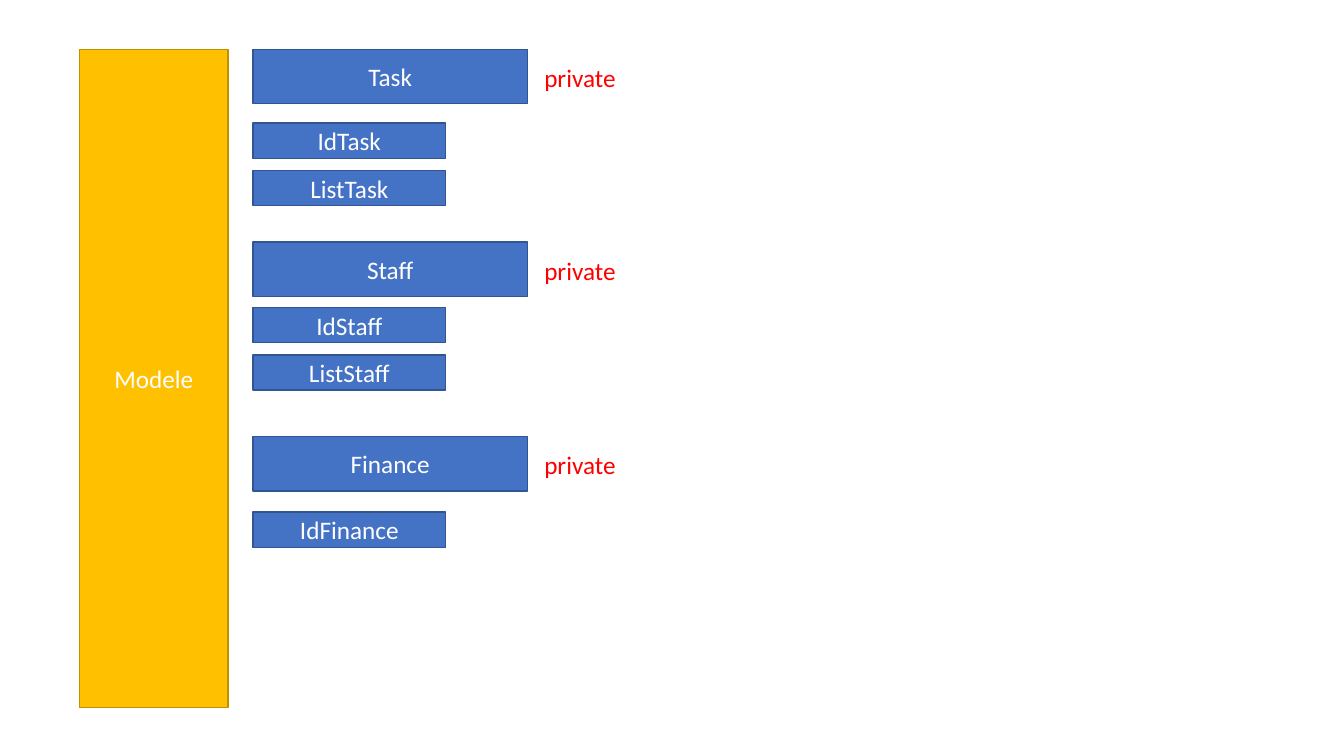
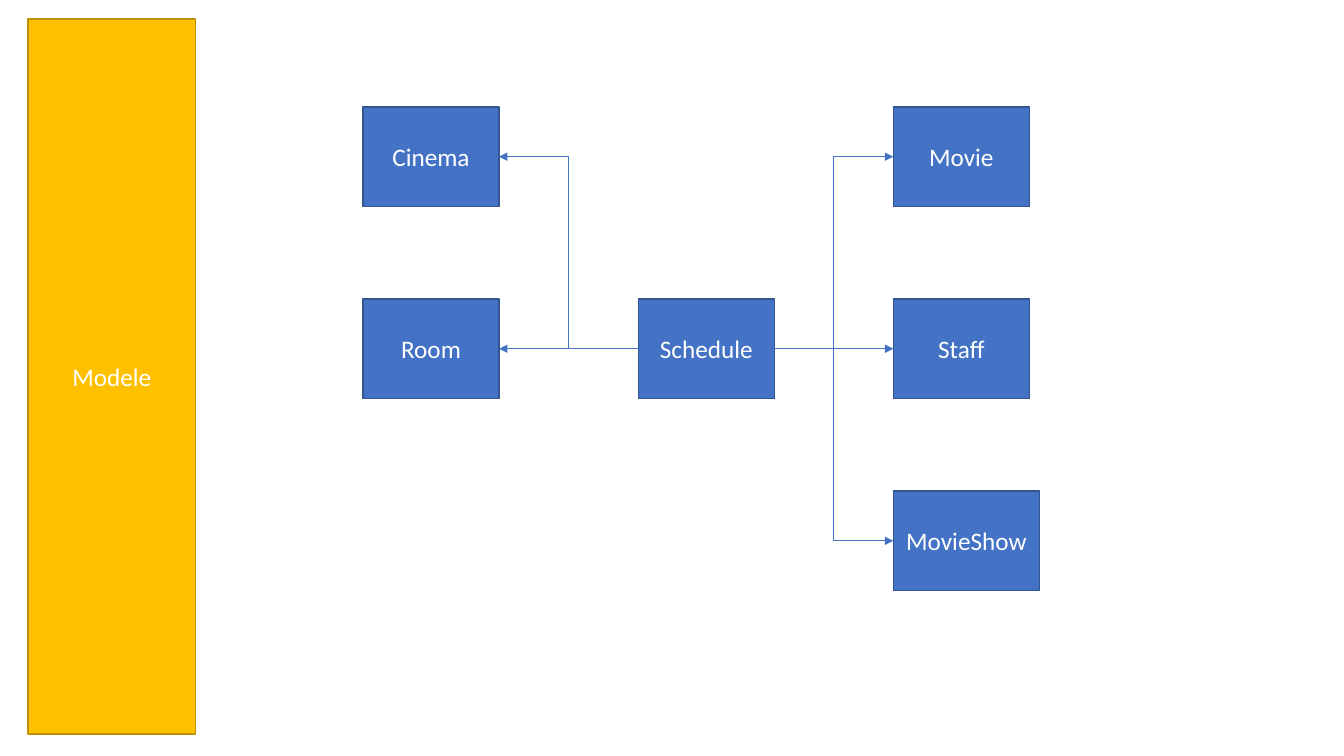
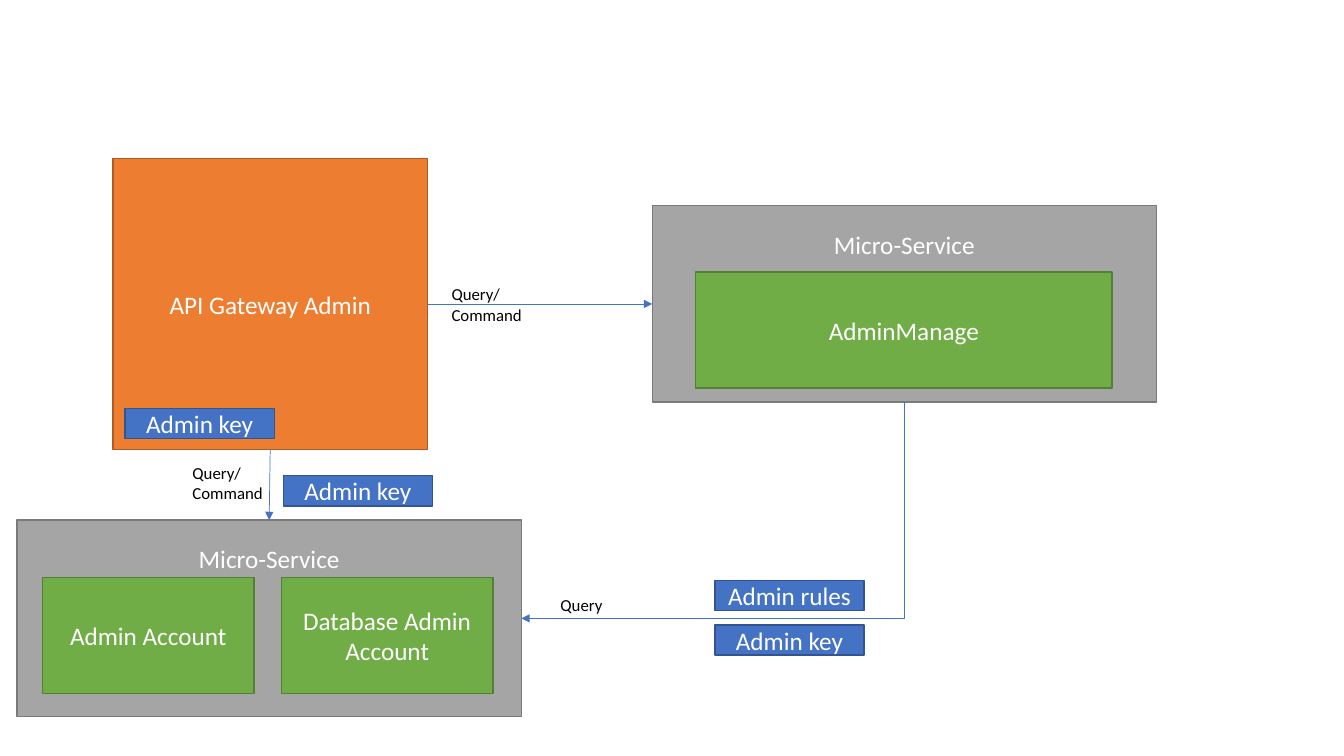
"""Build three diagrams: the model's fields, the schedule's links and the admin services."""
from lxml.etree import SubElement
from pptx import Presentation
from pptx.dml.color import RGBColor
from pptx.enum.shapes import MSO_CONNECTOR, MSO_SHAPE
from pptx.enum.text import MSO_ANCHOR, MSO_AUTO_SIZE, PP_ALIGN
from pptx.oxml.ns import qn
from pptx.util import Inches, Pt

WIDTH, HEIGHT = 13.33, 7.5
COLOURS = {
    "gold": "FFC000", "gold edge": "BF9000",
    "blue": "4472C4", "blue edge": "325491",
    "orange": "ED7D31", "orange edge": "AF5C24",
    "grey": "A5A5A5", "grey edge": "7A7A7A",
    "green": "70AD47", "green edge": "538035",
    "white": "FFFFFF", "red": "FF0000", "black": "000000",
}
FONT = "Calibri"
BOX_FRAME = {"word_wrap": True, "vertical_anchor": MSO_ANCHOR.MIDDLE}
HEADED_FRAME = {"vertical_anchor": MSO_ANCHOR.TOP, "margin_top": Inches(0.23)}
LABEL_FRAME = {"word_wrap": True, "auto_size": MSO_AUTO_SIZE.SHAPE_TO_FIT_TEXT}
TOP, LEFT, BOTTOM, RIGHT = range(4)

ENTITIES = [
    ("Task", 0.49, 1.22, ["IdTask", "ListTask"]),
    ("Staff", 2.4, 3.05, ["IdStaff", "ListStaff"]),
    ("Finance", 4.33, 5.08, ["IdFinance"]),
]
ENTITY_LEFT, ENTITY_SIZE = 2.51, (2.72, 0.54)
FIELD_SIZE, FIELD_PITCH = (1.91, 0.35), 0.47

CLASS_COLUMNS = [3.6, 6.33, 8.86]
CLASS_TOP, CLASS_PITCH, CLASS_SIZE = 1.06, 1.905, (1.35, 0.99)
CLASSES = {
    "Schedule": (1, 1), "Room": (0, 1), "Cinema": (0, 0),
    "Movie": (2, 0), "MovieShow": (2, 2), "Staff": (2, 1),
}
WIDE_CLASSES = {"MovieShow": 0.1}

SERVICE_SIZE, MODULE_HEIGHT, TAG_SIZE = (5, 1.95), 1.15, (1.48, 0.3)
SERVICES = [
    (6.47, 2.04, [("AdminManage", 0.43, 0.66, 4.13)]),
    (0.17, 5.16, [("Admin Account", 0.25, 0.57, 2.1),
                  ("Database Admin Account", 2.62, 0.57, 2.1)]),
]
TAGS = [
    ("Admin key", 1.24, 4.05), ("Admin key", 2.81, 4.72),
    ("Admin key", 7.09, 6.2), ("Admin rules", 7.09, 5.76),
]
CALLS = [
    ("Query/\nCommand", 4.38, 2.77, 0.5),
    ("Query/\nCommand", 1.81, 4.54, 0.5),
    ("Query", 5.46, 5.85, 0.3),
]


def colour(name):
    """Return the named colour."""
    return RGBColor.from_string(COLOURS[name])


def apply(target, values):
    """Set each attribute of target from values."""
    for key, value in values.items():
        setattr(target, key, value)


def write(frame, text, ink, size, layout, align):
    """Fill a text frame, one paragraph a line."""
    apply(frame, layout)
    frame.text = text
    for paragraph in frame.paragraphs:
        paragraph.alignment = align
        apply(paragraph.font, {"name": FONT, "size": Pt(size)})
        paragraph.font.color.rgb = colour(ink)


def add_box(slide, text, left, top, size, tone="blue", layout=None):
    """Add an outlined rectangle with centred white text."""
    box = slide.shapes.add_shape(MSO_SHAPE.RECTANGLE, *map(Inches, (left, top, *size)))
    box.shadow.inherit = False
    box.fill.solid()
    box.fill.fore_color.rgb = colour(tone)
    box.line.color.rgb = colour(tone + " edge")
    box.line.width = Pt(1)
    write(box.text_frame, text, "white", 18, BOX_FRAME | (layout or {}), PP_ALIGN.CENTER)
    return box


def add_label(slide, text, left, top, size, ink, points):
    """Add a plain left-aligned text."""
    label = slide.shapes.add_textbox(*map(Inches, (left, top, *size)))
    write(label.text_frame, text, ink, points, LABEL_FRAME, PP_ALIGN.LEFT)


def style_arrow(arrow):
    """Give a connector its thin blue line, arrowhead and no shadow."""
    arrow.line.color.rgb = colour("blue")
    arrow.line.width = Pt(0.5)
    SubElement(arrow.line._get_or_add_ln(), qn("a:tailEnd"), type="triangle")
    SubElement(arrow._element.spPr, qn("a:effectLst"))


def add_arrow(slide, source, source_side, target, target_side, kind=MSO_CONNECTOR.STRAIGHT):
    """Link two boxes side to side."""
    arrow = slide.shapes.add_connector(kind, 0, 0, 0, 0)
    arrow.begin_connect(source, source_side)
    arrow.end_connect(target, target_side)
    style_arrow(arrow)


def add_corner_arrow(slide, source, target):
    """Run down from source, then left to the right side of target."""
    start_x, start_y = source.left + source.width // 2, source.top + source.height
    end_x, end_y = target.left + target.width, target.top + target.height // 2
    across, down = start_x - end_x, end_y - start_y
    left = (start_x + end_x - down) // 2
    top = (start_y + end_y - across) // 2
    arrow = slide.shapes.add_connector(
        MSO_CONNECTOR.ELBOW, left, top, left + down, top + across)
    properties = arrow._element.spPr
    properties.find(qn("a:xfrm")).set("rot", str(90 * 60000))
    properties.find(qn("a:prstGeom")).set("prst", "bentConnector2")
    style_arrow(arrow)


def build_fields(slide):
    """Draw the model's entities with their fields."""
    add_box(slide, "Modele", 0.79, 0.49, (1.47, 6.53), "gold")
    for entity, top, fields_top, fields in ENTITIES:
        add_box(slide, entity, ENTITY_LEFT, top, ENTITY_SIZE)
        add_label(slide, "private", 5.3, top + 0.08, (3.07, 0.4), "red", 18)
        for row, field in enumerate(fields):
            add_box(slide, field, ENTITY_LEFT, fields_top + row * FIELD_PITCH, FIELD_SIZE)


def build_schedule(slide):
    """Draw the schedule and the classes it points to."""
    add_box(slide, "Modele", 0.28, 0.19, (1.66, 7.09), "gold")
    boxes = {}
    for name, (column, row) in CLASSES.items():
        size = (CLASS_SIZE[0] + WIDE_CLASSES.get(name, 0), CLASS_SIZE[1])
        boxes[name] = add_box(
            slide, name, CLASS_COLUMNS[column], CLASS_TOP + row * CLASS_PITCH, size)
    home_column, home_row = CLASSES["Schedule"]
    for name, (column, row) in CLASSES.items():
        if name != "Schedule":
            sides = (LEFT, RIGHT) if column < home_column else (RIGHT, LEFT)
            kind = MSO_CONNECTOR.STRAIGHT if row == home_row else MSO_CONNECTOR.ELBOW
            add_arrow(slide, boxes["Schedule"], sides[0], boxes[name], sides[1], kind)


def build_services(slide):
    """Draw the gateway, its services and the calls between them."""
    gateway = add_box(slide, "API Gateway Admin", 1.12, 1.57, (3.12, 2.89), "orange")
    services = []
    for left, top, modules in SERVICES:
        services.append(add_box(
            slide, "Micro-Service", left, top, SERVICE_SIZE, "grey", HEADED_FRAME))
        for module, across, down, width in modules:
            add_box(slide, module, left + across, top + down, (width, MODULE_HEIGHT), "green")
    manager, account = services
    add_arrow(slide, gateway, RIGHT, manager, LEFT)
    add_arrow(slide, gateway, BOTTOM, account, TOP)
    add_corner_arrow(slide, manager, account)
    for tag, left, top in TAGS:
        add_box(slide, tag, left, top, TAG_SIZE)
    for call, left, top, height in CALLS:
        add_label(slide, call, left, top, (0.98, height), "black", 12)


def main():
    """Build and save the slides."""
    deck = Presentation()
    apply(deck, {"slide_width": Inches(WIDTH), "slide_height": Inches(HEIGHT)})
    for build in (build_fields, build_schedule, build_services):
        build(deck.slides.add_slide(deck.slide_layouts[6]))
    deck.save("out.pptx")


if __name__ == "__main__":
    main()
